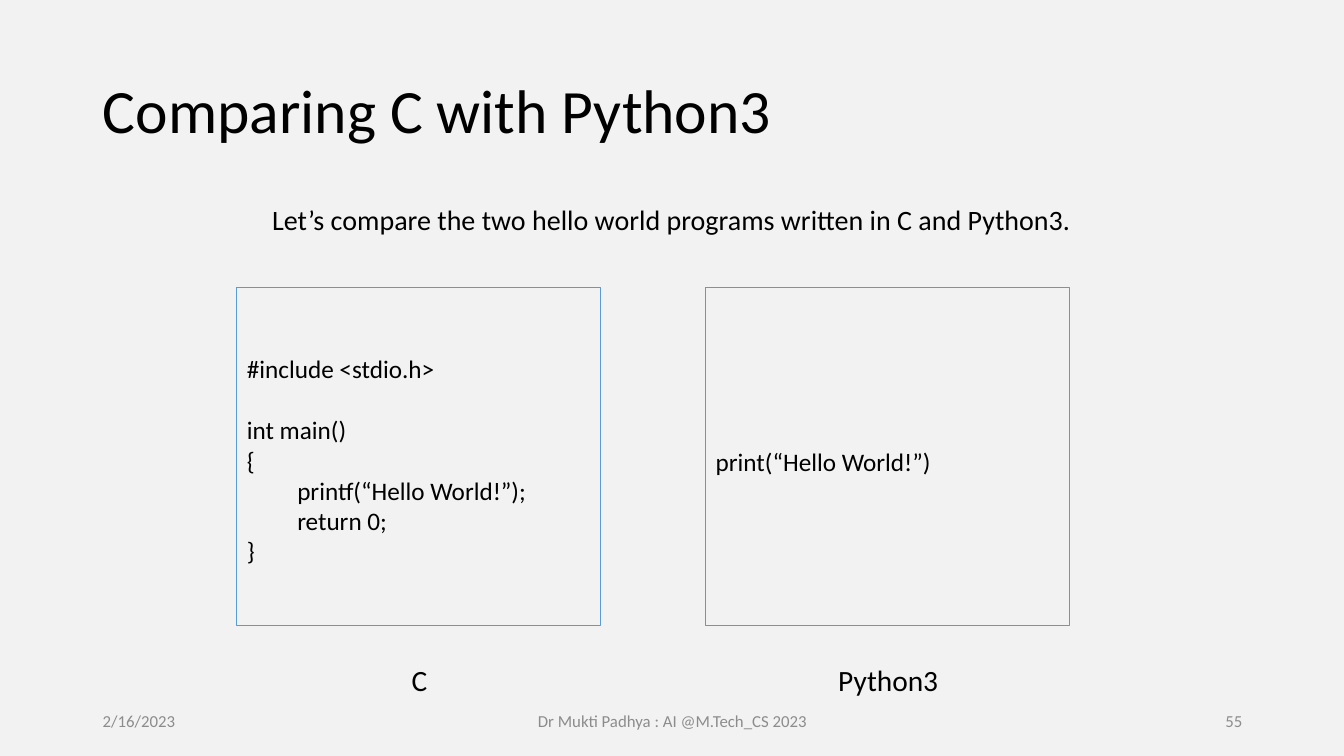
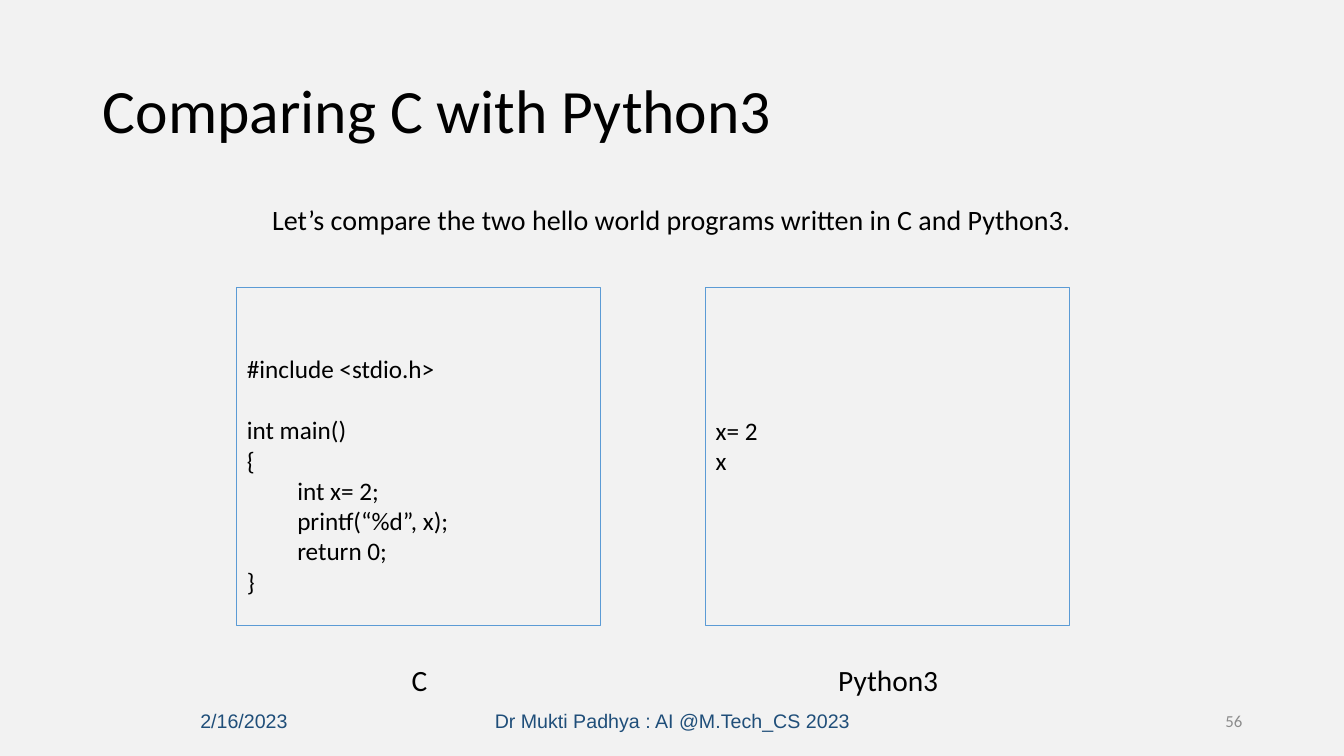
from lxml import etree
from pptx import Presentation
from pptx.dml.color import RGBColor
from pptx.enum import shapes, text
from pptx.oxml.ns import qn
from pptx.util import Inches, Pt

COLORS = {"background": "F2F2F2", "text": "000000", "border": "5B9BD5",
          "muted": "8C8C8C", "accent": "1F4E79"}
LEFT, CENTER, RIGHT = text.PP_ALIGN.LEFT, text.PP_ALIGN.CENTER, text.PP_ALIGN.RIGHT
TOP, MIDDLE = text.MSO_ANCHOR.TOP, text.MSO_ANCHOR.MIDDLE

STYLES = {
    "title": {"name": "Calibri", "size": Pt(44), "color": "text"},
    "intro": {"name": "Calibri", "size": Pt(20), "color": "text"},
    "code": {"name": "Calibri", "size": Pt(18), "color": "text"},
    "caption": {"name": "Calibri", "size": Pt(21), "color": "text"},
    "footer": {"name": "Calibri", "size": Pt(12), "color": "muted"},
    "footer_accent": {"name": "Arial", "size": Pt(14), "color": "accent"},
}

CODE_LINE = 0.305  # height of one line of code, in inches
PANEL_TOP, PANEL_WIDTH, PANEL_HEIGHT = 2.85, 3.61, 3.36
CAPTION_WIDTH = 1.2
LANGUAGES = [("C", 2.35, 3.56), ("Python3", 7, 8.21)]

# Each program: lines left free above the code, then the code
SLIDES = [
    {"number": "55", "footer": "footer", "date_align": LEFT, "programs": [
        (2, "#include <stdio.h>\n\nint main()\n{\n"
            "\tprintf(“Hello World!”);\n\treturn 0;\n}"),
        (5, "print(“Hello World!”)")]},
    {"number": "56", "footer": "footer_accent", "date_align": CENTER, "programs": [
        (2, "#include <stdio.h>\n\nint main()\n{\n"
            "\tint x= 2;\n\tprintf(“%d”, x);\n\treturn 0;\n}"),
        (4, "x= 2\nx")]},
]


def write(shape, content, style, align=LEFT, anchor=TOP, spacing=1.0):
    """Fill a shape with styled lines; an empty line becomes space before the next."""
    frame = shape.text_frame
    frame.word_wrap = True
    frame.auto_size = text.MSO_AUTO_SIZE.NONE
    frame.vertical_anchor = anchor
    paragraph, gap = frame.paragraphs[0], 0
    for number, line in enumerate(content.split("\n")):
        if not line:
            gap += CODE_LINE
            continue
        if number:
            paragraph = frame.add_paragraph()
        paragraph.alignment = align
        paragraph.line_spacing = spacing
        paragraph.space_before = Inches(gap)
        gap = 0
        run = paragraph.add_run()
        run.text = line
        for key, value in STYLES[style].items():
            if key == "color":
                run.font.color.rgb = RGBColor.from_string(COLORS[value])
            else:
                setattr(run.font, key, value)


def place(shape, left, top, width, height):
    shape.left, shape.top = Inches(left), Inches(top)
    shape.width, shape.height = Inches(width), Inches(height)
    return shape


prs = Presentation()
prs.slide_width, prs.slide_height = Inches(13.33), Inches(7.5)
background = prs.slide_master.background.fill
background.solid()
background.fore_color.rgb = RGBColor.from_string(COLORS["background"])

for page in SLIDES:
    slide = prs.slides.add_slide(prs.slide_layouts[1])
    title = place(slide.shapes.title, 0.92, 0.4, 11.5, 1.45)
    write(title, "Comparing C with Python3", "title", anchor=MIDDLE, spacing=0.9)

    intro = place(slide.placeholders[1], 2.35, 2, 8.62, 0.46)
    intro_format = intro.text_frame.paragraphs[0]._p.get_or_add_pPr()
    intro_format.set("marL", "0")
    intro_format.set("indent", "0")
    etree.SubElement(intro_format, qn("a:buNone"))
    write(intro, "Let’s compare the two hello world programs written in C and Python3.",
          "intro", align=CENTER, spacing=0.9)

    for (language, left, caption_left), (free_lines, code) in zip(LANGUAGES, page["programs"]):
        panel = slide.shapes.add_shape(
            shapes.MSO_SHAPE.RECTANGLE, Inches(left), Inches(PANEL_TOP),
            Inches(PANEL_WIDTH), Inches(PANEL_HEIGHT))
        panel.shadow.inherit = False
        panel.fill.background()
        panel.line.color.rgb = RGBColor.from_string(COLORS["border"])
        panel.line.width = Pt(0.75)
        panel.text_frame.margin_top = Inches(0.05 + free_lines * CODE_LINE)
        write(panel, code, "code")

        caption = slide.shapes.add_textbox(
            Inches(caption_left), Inches(6.52), Inches(CAPTION_WIDTH), Inches(0.45))
        write(caption, language, "caption", align=CENTER)

    for content, left, width, style, align in [
        ("2/16/2023", 0.92, 3, page["footer"], page["date_align"]),
        ("Dr Mukti Padhya : AI @M.Tech_CS 2023", 4.42, 4.5, page["footer"], CENTER),
        (page["number"], 9.42, 3, "footer", RIGHT),
    ]:
        footer = slide.shapes.add_textbox(
            Inches(left), Inches(6.95), Inches(width), Inches(0.4))
        write(footer, content, style, align, MIDDLE)

prs.save("out.pptx")
